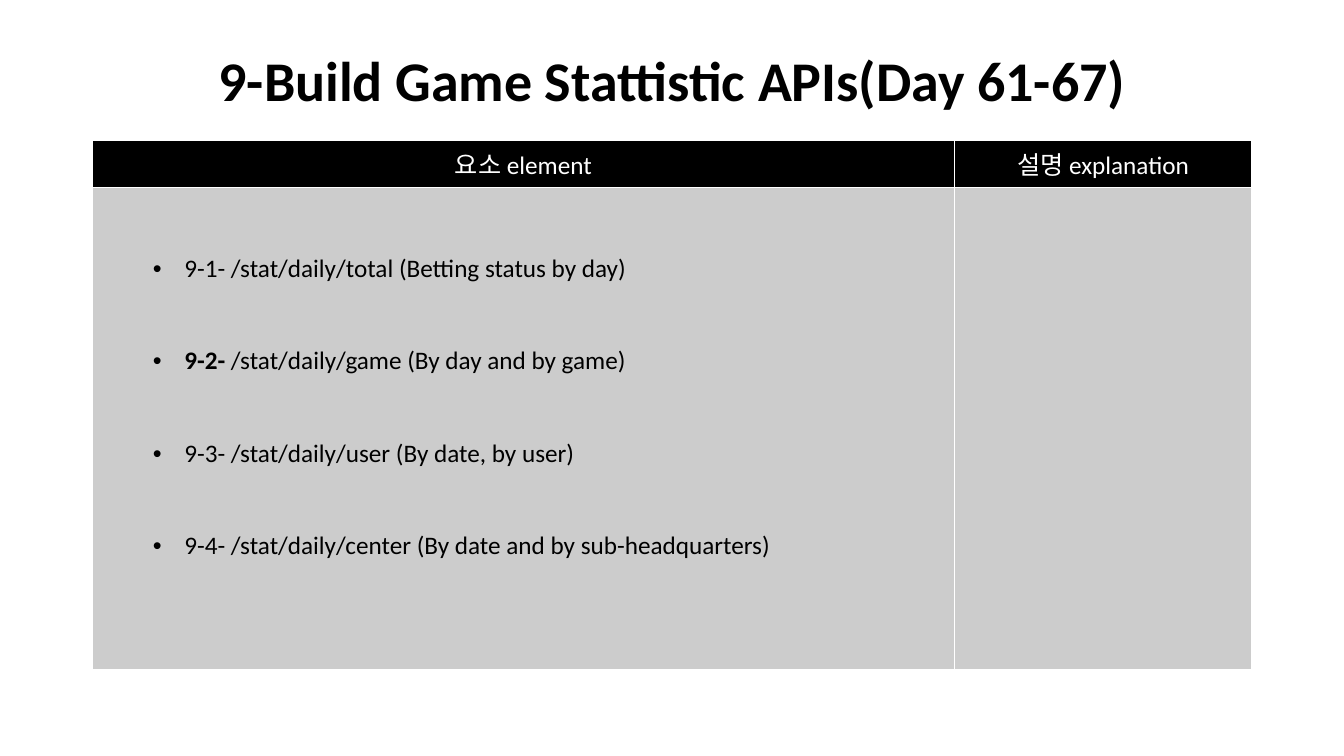
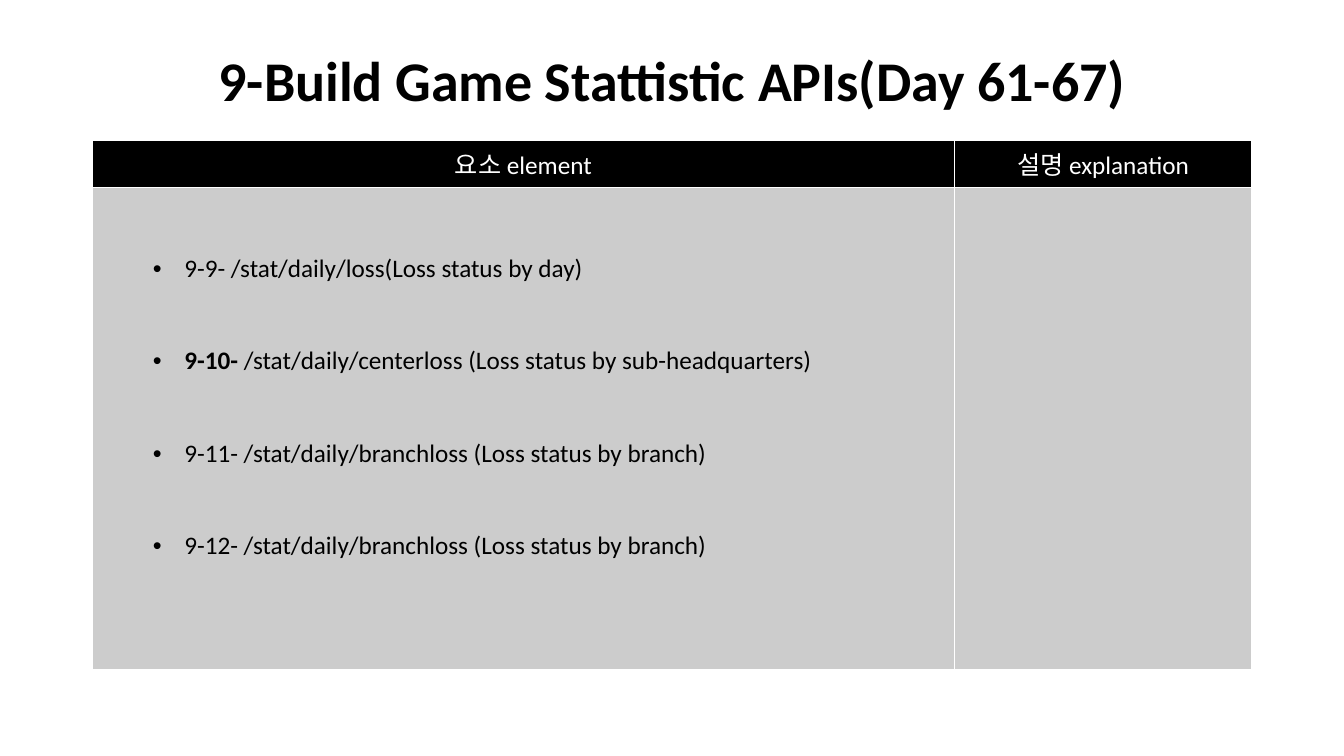
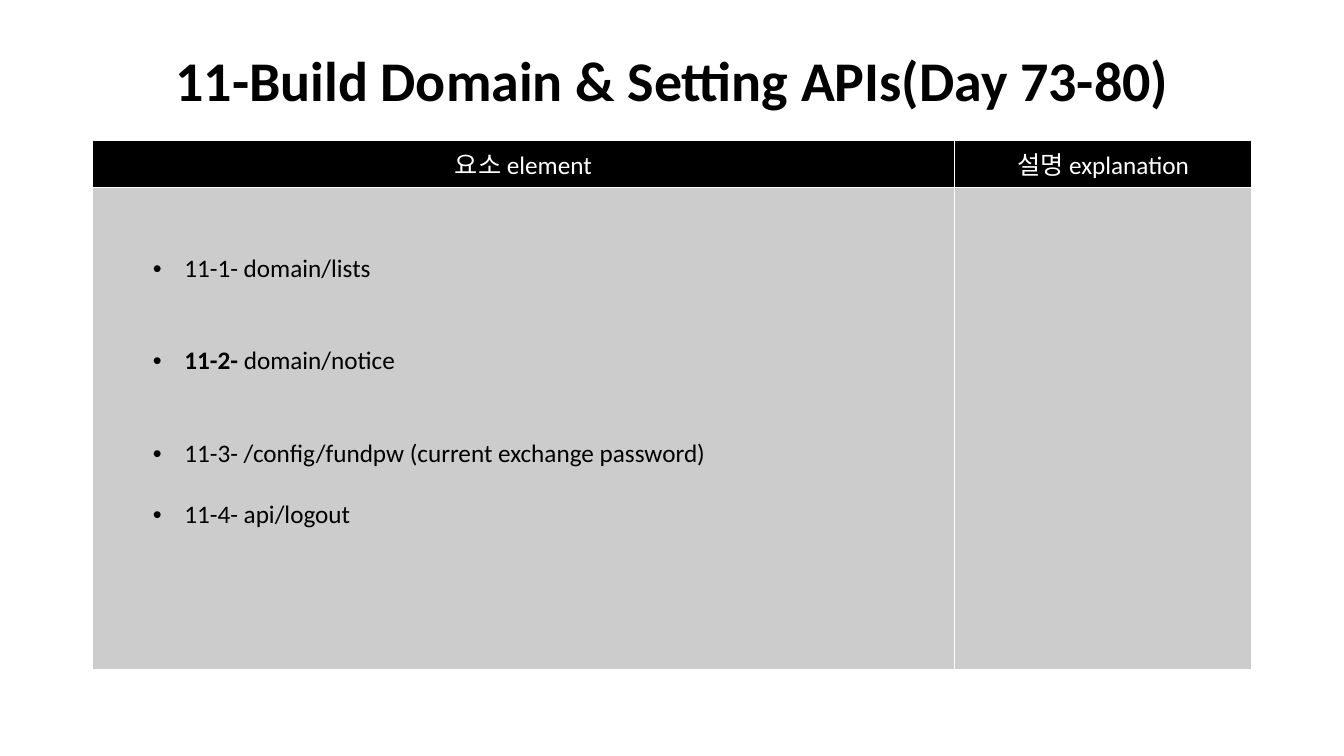
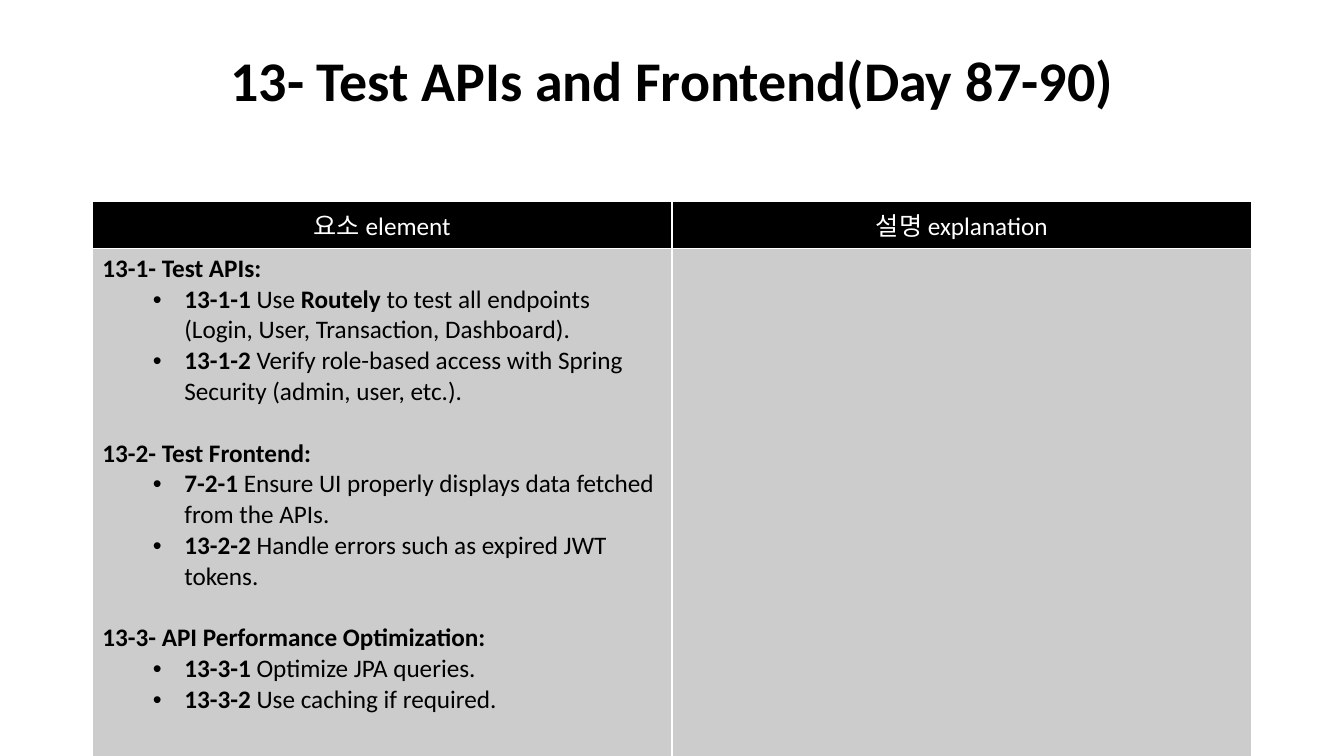
import lxml.etree
import pptx
import pptx.dml.color
import pptx.enum.text
import pptx.oxml.ns
import pptx.util

BLACK = pptx.dml.color.RGBColor(0x00, 0x00, 0x00)
WHITE = pptx.dml.color.RGBColor(0xFF, 0xFF, 0xFF)
GRAY = pptx.dml.color.RGBColor(0xCC, 0xCC, 0xCC)
FONT = "Calibri"
PX = 9525  # EMU per px, 96 px to the inch
SLIDE_WIDTH, SLIDE_HEIGHT = 1280, 720
LEFT, WIDTH = 88, 1104
HEADER_HEIGHT = 44
HEADINGS = ("요소 element", "설명 explanation")
LINE = 22  # points, one line of 18 pt text

GAME_TITLE = "9-Build Game Stattistic APIs(Day 61-67)"
API_LAYOUT = {"top": 134, "first_column": 821, "body_height": 459, "margin_top": 63}
TEST_LAYOUT = {"top": 192, "first_column": 552, "body_height": 484, "margin_top": 5}

# Each line is (space before in lines, is bulleted, text with **bold** parts).
PAGES = [
    (GAME_TITLE, API_LAYOUT, [
        (0, True, "9-1- /stat/daily/total (Betting status by day)"),
        (2, True, "**9-2-** /stat/daily/game (By day and by game)"),
        (2, True, "9-3- /stat/daily/user (By date, by user)"),
        (2, True, "9-4- /stat/daily/center (By date and by sub-headquarters)"),
    ]),
    (GAME_TITLE, API_LAYOUT, [
        (0, True, "9-9- /stat/daily/loss(Loss status by day)"),
        (2, True, "**9-10-** /stat/daily/centerloss (Loss status by sub-headquarters)"),
        (2, True, "9-11- /stat/daily/branchloss (Loss status by branch)"),
        (2, True, "9-12- /stat/daily/branchloss (Loss status by branch)"),
    ]),
    ("11-Build Domain & Setting APIs(Day 73-80)", API_LAYOUT, [
        (0, True, "11-1- domain/lists"),
        (2, True, "**11-2-** domain/notice"),
        (2, True, "11-3- /config/fundpw (current exchange password)"),
        (1, True, "11-4- api/logout"),
    ]),
    ("13- Test APIs and Frontend(Day 87-90)", TEST_LAYOUT, [
        (0, False, "**13-1- Test APIs:**"),
        (0, True, "**13-1-1** Use **Routely** to test all endpoints "
                  "(Login, User, Transaction, Dashboard)."),
        (0, True, "**13-1-2** Verify role-based access with Spring Security "
                  "(admin, user, etc.)."),
        (1, False, "**13-2- Test Frontend:**"),
        (0, True, "**7-2-1** Ensure UI properly displays data fetched from the APIs."),
        (0, True, "**13-2-2** Handle errors such as expired JWT tokens."),
        (1, False, "**13-3- API Performance Optimization:**"),
        (0, True, "**13-3-1** Optimize JPA queries."),
        (0, True, "**13-3-2** Use caching if required."),
    ]),
]


def style_cell(cell, color):
    """Give the cell thin white borders and a solid fill."""
    properties = cell._tc.get_or_add_tcPr()
    for side in ("lnL", "lnR", "lnT", "lnB"):
        border = lxml.etree.SubElement(
            properties, pptx.oxml.ns.qn("a:" + side), w=str(pptx.util.Pt(1)))
        fill = lxml.etree.SubElement(border, pptx.oxml.ns.qn("a:solidFill"))
        lxml.etree.SubElement(fill, pptx.oxml.ns.qn("a:srgbClr"), val=str(WHITE))
    cell.fill.solid()
    cell.fill.fore_color.rgb = color


def set_font(para, size, color):
    para.font.name = FONT
    para.font.size = pptx.util.Pt(size)
    para.font.color.rgb = color


deck = pptx.Presentation()
deck.slide_width = SLIDE_WIDTH * PX
deck.slide_height = SLIDE_HEIGHT * PX
title_only = deck.slide_layouts.get_by_name("Title Only")

for title_text, layout, lines in PAGES:
    page = deck.slides.add_slide(title_only)
    title = page.shapes.title
    title.left, title.top = LEFT * PX, 38 * PX
    title.width, title.height = WIDTH * PX, 82 * PX
    title.text_frame.text = title_text
    title.text_frame.vertical_anchor = pptx.enum.text.MSO_ANCHOR.MIDDLE
    para = title.text_frame.paragraphs[0]
    para.alignment = pptx.enum.text.PP_ALIGN.CENTER
    para.line_spacing = 0.9
    set_font(para, 40, BLACK)
    para.font.bold = True

    body_height = layout["body_height"]
    table = page.shapes.add_table(
        2, 2, LEFT * PX, layout["top"] * PX,
        WIDTH * PX, (HEADER_HEIGHT + body_height) * PX).table
    table.first_row = table.horz_banding = False
    table.columns[0].width = layout["first_column"] * PX
    table.columns[1].width = (WIDTH - layout["first_column"]) * PX
    table.rows[0].height = HEADER_HEIGHT * PX
    table.rows[1].height = body_height * PX

    for column, heading in enumerate(HEADINGS):
        header = table.cell(0, column)
        style_cell(header, BLACK)
        style_cell(table.cell(1, column), GRAY)
        header.text_frame.text = heading
        para = header.text_frame.paragraphs[0]
        para.alignment = pptx.enum.text.PP_ALIGN.CENTER
        set_font(para, 18, WHITE)

    body = table.cell(1, 0)
    body.margin_top = layout["margin_top"] * PX
    for index, (gap, bulleted, text) in enumerate(lines):
        frame = body.text_frame
        para = frame.add_paragraph() if index else frame.paragraphs[0]
        if bulleted:
            para.level = 1
            properties = para._p.get_or_add_pPr()
            properties.set("marL", str(78 * PX))
            properties.set("indent", str(-30 * PX))
            lxml.etree.SubElement(
                properties, pptx.oxml.ns.qn("a:buFont"), typeface="Arial")
            lxml.etree.SubElement(properties, pptx.oxml.ns.qn("a:buChar"), char="•")
        if gap:
            para.space_before = pptx.util.Pt(gap * LINE)
        set_font(para, 18, BLACK)
        for part, words in enumerate(text.split("**")):
            if words:
                span = para.add_run()
                span.text = words
                span.font.bold = part % 2 == 1

deck.save("out.pptx")
